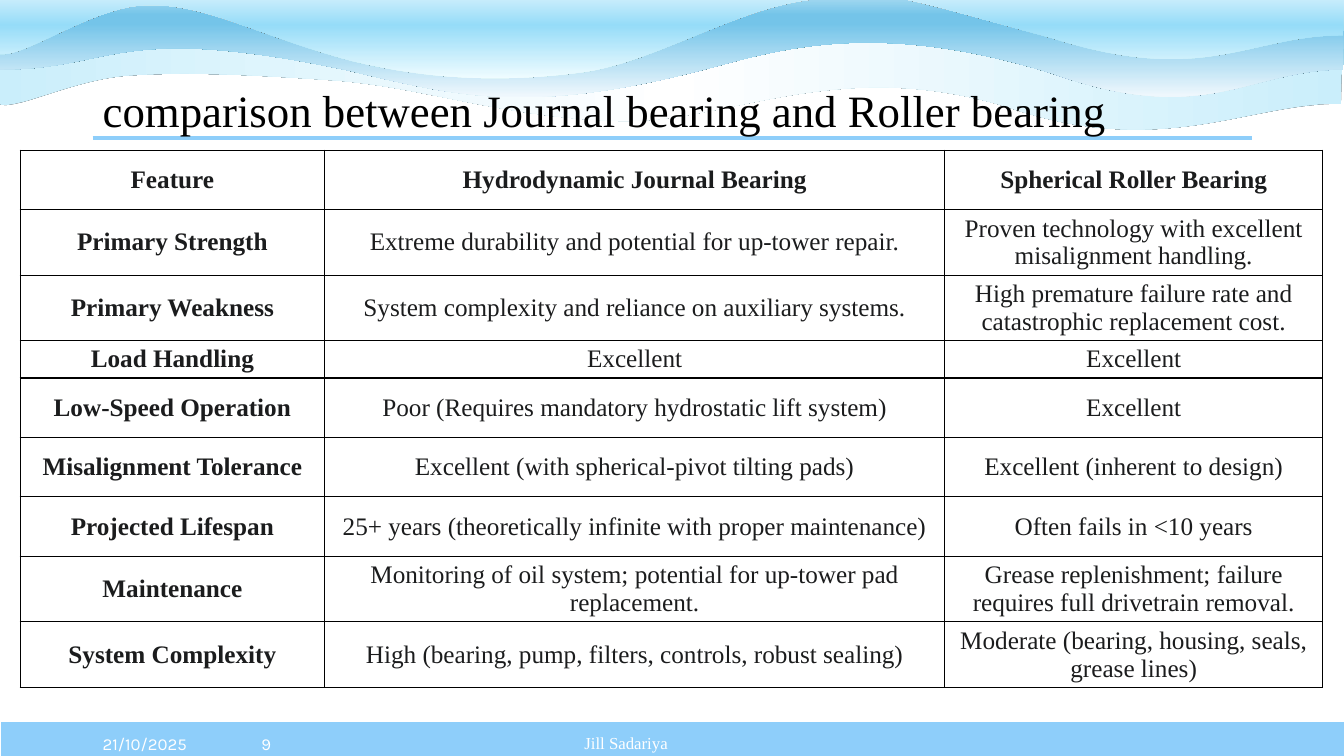
from pptx import Presentation
from pptx.dml.color import RGBColor
from pptx.enum.shapes import MSO_CONNECTOR, MSO_SHAPE
from pptx.enum.text import MSO_ANCHOR, PP_ALIGN
from pptx.oxml import parse_xml
from pptx.oxml.ns import nsdecls, qn
from pptx.util import Pt
from lxml.etree import SubElement

PX = 9144  # 100 px to the inch
SERIF, SANS = "Times New Roman", "Karla"
WHITE = RGBColor(0xFF, 0xFF, 0xFF)
BLACK = RGBColor(0, 0, 0)
INK = RGBColor(0x1B, 0x1C, 0x1D)
SKY = RGBColor(0x8E, 0xCE, 0xFA)
ICE = RGBColor(0xCA, 0xEE, 0xFB)
MIST = RGBColor(0xF0, 0xF8, 0xFD)
SEA = RGBColor(0x74, 0xC4, 0xE9)
FOAM = RGBColor(0xA2, 0xD8, 0xF0)
AQUA = RGBColor(0x96, 0xDC, 0xF8)
FROST = RGBColor(0xEF, 0xFC, 0xFF)

# Each wave: lower edge as Bezier points, upper edge as corners, height,
# gradient stops (percent, colour), gradient angle in degrees.
WAVES = [
    ([(1330, 103), (1237, 102), (1152, 159), (999, 106), (827, 54),
      (721, 124), (610, 120), (499, 116), (421, 87), (335, 80), (249, 74),
      (183, 71), (127, 75), (71, 79), (14, 111), (-2, 103)],
     [(-4, 30), (313, 31), (652, 34), (941, 32), (1332, 34)], 98,
     [(0, ICE), (50, WHITE), (100, ICE)], 0),
    ([(1332, 69), (1239, 69), (1196, 127), (1044, 73), (871, 19), (773, 49),
      (706, 67), (528, 114), (459, 97), (346, 70), (113, 21), (115, 69),
      (0, 69)],
     [(1, -1), (313, 0), (654, -2), (946, -1), (1333, 3)], 98,
     [(0, FOAM), (17, SEA), (26, SEA), (100, MIST)], 90),
    ([(1332, 35), (1239, 35), (1196, 86), (1044, 38), (872, -9), (891, -7),
      (813, -1), (735, 4), (653, 62), (576, 72), (498, 82), (424, 79),
      (347, 60), (258, 36), (207, 5), (150, 5), (92, 4), (22, 61), (-3, 53)],
     [(1, -27), (313, -26), (654, -28), (946, -27), (1333, -24)], 106,
     [(0, WHITE), (50, AQUA), (100, FROST)], 90),
]

COLUMNS = [302, 615, 375]
ROW_HEIGHTS = [59, 65, 65, 37, 59, 59, 59, 65, 65]
COMPARISON = [
    ("Feature", "Hydrodynamic Journal Bearing", "Spherical Roller Bearing"),
    ("Primary Strength",
     "Extreme durability and potential for up-tower repair.",
     "Proven technology with excellent misalignment handling."),
    ("Primary Weakness",
     "System complexity and reliance on auxiliary systems.",
     "High premature failure rate and catastrophic replacement cost."),
    ("Load Handling", "Excellent", "Excellent"),
    ("Low-Speed Operation",
     "Poor (Requires mandatory hydrostatic lift system)", "Excellent"),
    ("Misalignment Tolerance",
     "Excellent (with spherical-pivot tilting pads)",
     "Excellent (inherent to design)"),
    ("Projected Lifespan",
     "25+ years (theoretically infinite with proper maintenance)",
     "Often fails in <10 years"),
    ("Maintenance",
     "Monitoring of oil system; potential for up-tower pad replacement.",
     "Grease replenishment; failure requires full drivetrain removal."),
    ("System Complexity",
     "High (bearing, pump, filters, controls, robust sealing)",
     "Moderate (bearing, housing, seals, grease lines)"),
]


def px(*lengths):
    return [n * PX for n in lengths]


def bend_lower_edge(outline, lower, left, top):
    """Turn the first straight segments of the outline into cubic curves."""
    segments = outline.findall(qn("a:lnTo"))
    for i, segment in enumerate(segments[:len(lower) // 3]):
        points = "".join(f'<a:pt x="{x - left}" y="{y - top}"/>'
                         for x, y in lower[3 * i + 1:3 * i + 4])
        outline.replace(segment, parse_xml(
            f'<a:cubicBezTo {nsdecls("a")}>{points}</a:cubicBezTo>'))


def add_wave(s, lower, upper, height, stops, angle):
    anchors = lower[::3] + upper
    left = min(x for x, y in anchors)
    top = min(y for x, y in anchors)
    builder = s.shapes.build_freeform(*anchors[0], scale=PX)
    builder.add_line_segments(anchors[1:], close=True)
    sp = builder.convert_to_shape()
    spPr = sp._element.spPr
    outline = next(spPr.iter(qn("a:path")))
    bend_lower_edge(outline, lower, left, top)
    outline.set("h", str(height))
    sp.height = height * PX
    sp.line.fill.background()
    sp.fill.background()
    stop_xml = "".join(
        f'<a:gs pos="{pos * 1000}"><a:srgbClr val="{color}"/></a:gs>'
        for pos, color in stops)
    gradient = parse_xml(
        f'<a:gradFill {nsdecls("a")}><a:gsLst>{stop_xml}</a:gsLst>'
        f'<a:lin ang="{angle * 60000}" scaled="0"/></a:gradFill>')
    spPr.replace(spPr.find(qn("a:noFill")), gradient)
    sp.shadow.inherit = False
    spPr.find(qn("a:effectLst")).append(parse_xml(
        f'<a:outerShdw {nsdecls("a")} blurRad="0" dist="0" dir="0">'
        f'<a:srgbClr val="{BLACK}"/></a:outerShdw>'))


def add_footer_bar(s):
    sp = s.shapes.add_shape(MSO_SHAPE.RECTANGLE, *px(0, 715, 1335, 40))
    sp.shadow.inherit = False
    sp.fill.solid()
    sp.fill.fore_color.rgb = SKY
    sp.line.color.rgb = WHITE
    sp.line.width = Pt(1.5)


def add_title_rule(s):
    line = s.shapes.add_connector(MSO_CONNECTOR.STRAIGHT,
                                  *px(92, 137, 1242, 137))
    line.line.color.rgb = SKY
    line.line.width = Pt(3)
    SubElement(line._element.spPr, qn("a:effectLst"))


def write(p, text, size, font, color, align, bold=False):
    p.alignment = align
    r = p.add_run()
    r.text = text
    r.font.size = Pt(size)
    r.font.name = font
    r.font.bold = bold
    r.font.color.rgb = color


def add_text(s, box, text, size, font, color, align=PP_ALIGN.LEFT, spacing=1):
    tf = s.shapes.add_textbox(*px(*box)).text_frame
    tf.word_wrap = True
    tf.vertical_anchor = MSO_ANCHOR.MIDDLE
    p = tf.paragraphs[0]
    p.line_spacing = spacing
    write(p, text, size, font, color, align)


def add_borders(cell):
    tcPr = cell._tc.get_or_add_tcPr()
    for side in ("lnL", "lnR", "lnT", "lnB"):
        tcPr.append(parse_xml(
            f'<a:{side} {nsdecls("a")} w="{Pt(1)}"><a:solidFill>'
            f'<a:srgbClr val="{BLACK}"/></a:solidFill></a:{side}>'))


def add_comparison_table(s):
    table = s.shapes.add_table(
        len(COMPARISON), len(COLUMNS),
        *px(20, 149, sum(COLUMNS), sum(ROW_HEIGHTS))).table
    table.first_row = table.horz_banding = False
    for column, width in zip(table.columns, COLUMNS):
        column.width = width * PX
    for row, height in zip(table.rows, ROW_HEIGHTS):
        row.height = height * PX
    for i, texts in enumerate(COMPARISON):
        for j, text in enumerate(texts):
            cell = table.cell(i, j)
            cell.vertical_anchor = MSO_ANCHOR.MIDDLE
            cell.margin_left = cell.margin_right = 7 * PX
            cell.margin_top = cell.margin_bottom = 2 * PX
            add_borders(cell)
            cell.fill.background()
            write(cell.text_frame.paragraphs[0], text, 18, SERIF, INK,
                  PP_ALIGN.CENTER, bold=i == 0 or j == 0)


def main():
    prs = Presentation()
    prs.slide_width, prs.slide_height = px(1333, 750)
    s = prs.slides.add_slide(prs.slide_layouts[6])
    add_footer_bar(s)
    for wave in WAVES:
        add_wave(s, *wave)
    add_title_rule(s)
    add_text(s, (92, 40, 1150, 145),
             "comparison between Journal bearing and Roller bearing",
             32, SERIF, BLACK, spacing=0.9)
    add_text(s, (92, 718, 122, 40), "21/10/2025", 12, SANS, WHITE)
    add_text(s, (213, 718, 102, 40), "9", 12, SANS, WHITE, PP_ALIGN.CENTER)
    add_text(s, (315, 718, 612, 40), "Jill Sadariya", 12, SERIF, WHITE,
             PP_ALIGN.CENTER, spacing=0.9)
    add_comparison_table(s)
    prs.save("out.pptx")


if __name__ == "__main__":
    main()
